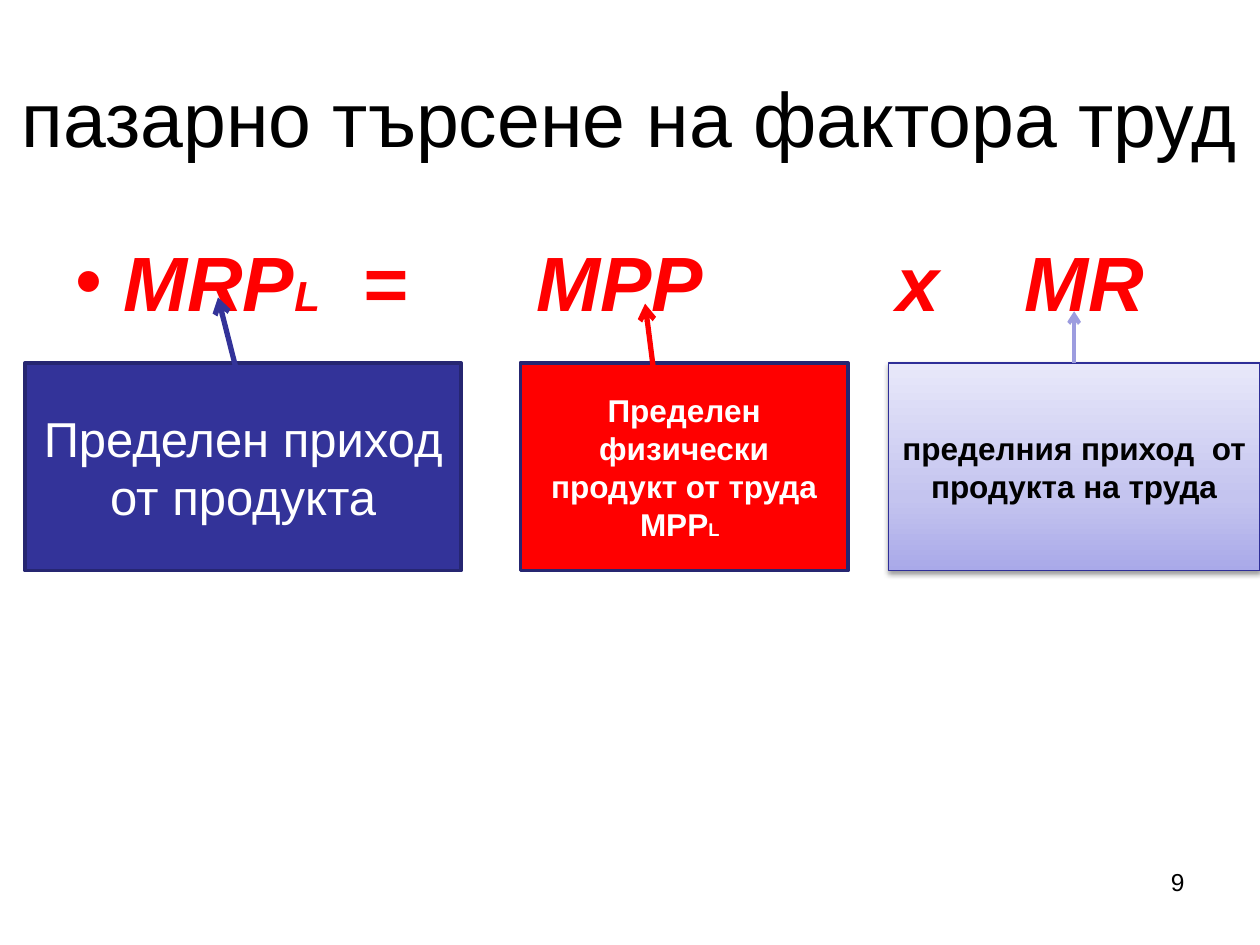
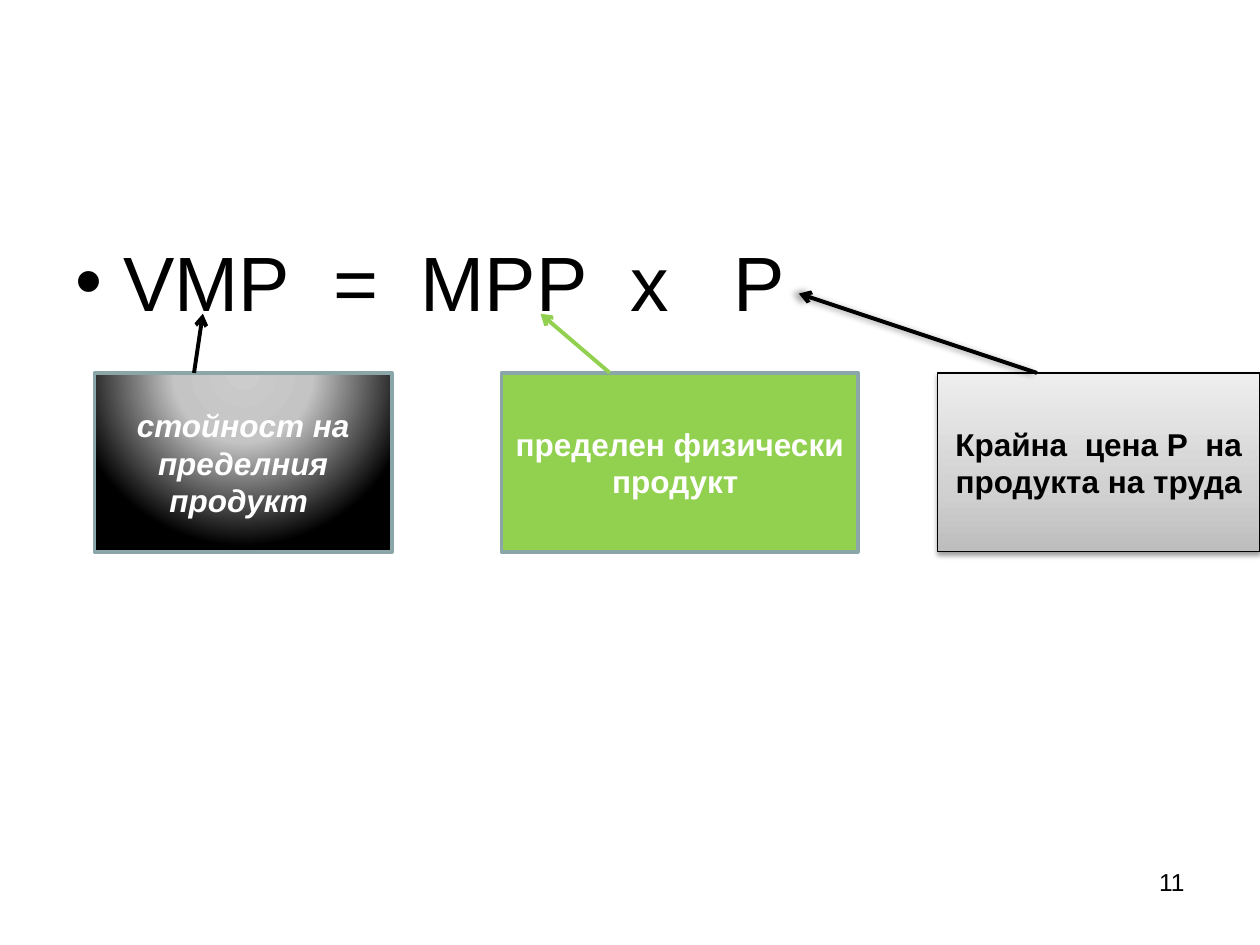
from dataclasses import dataclass
from typing import Optional

from lxml.etree import SubElement
from pptx import Presentation
from pptx.dml.color import RGBColor
from pptx.enum.shapes import MSO_CONNECTOR, MSO_SHAPE
from pptx.enum.text import MSO_ANCHOR, PP_ALIGN
from pptx.oxml.ns import qn
from pptx.util import Emu, Inches, Pt

WIDTH, HEIGHT = Inches(10), Inches(7.5)
COLUMNS, ROWS = 100, 75
FONT = "Arial"
BLACK, WHITE, RED, NAVY, GREEN = "000000", "FFFFFF", "FF0000", "333399", "92D050"
SPACE_SHARE = 0.278  # width of a space as a share of the font size
HEADING_SIZE, LABEL_SIZE, NUMBER_SIZE = 44, 18, 14


@dataclass(frozen=True)
class Span:
    text: str
    size: Optional[float] = None
    spaces: int = 1


@dataclass(frozen=True)
class Style:
    size: float
    color: str
    bold: bool = False
    italic: bool = False


@dataclass(frozen=True)
class Gradient:
    stops: tuple
    radial: bool = False


@dataclass(frozen=True)
class Shadow:
    opacity: int
    blur: float
    distance: float
    angle: int


@dataclass(frozen=True)
class Arrow:
    end: tuple
    color: str
    start: Optional[tuple] = None  # None starts at the middle of the card's top
    width: float = 2.25
    shadow: Optional[Shadow] = None


@dataclass(frozen=True)
class Card:
    left: float
    width: float
    fill: object
    border: str
    style: Style
    paras: tuple
    arrow: Arrow
    border_width: float = 2
    shadow: Optional[Shadow] = None


@dataclass(frozen=True)
class Page:
    number: int
    formula: tuple
    formula_style: Style
    card_top: float
    card_height: float
    cards: tuple
    title: str = ""


def gap(spaces: int) -> Span:
    """One space stretched to the width of several."""
    return Span(" ", spaces=spaces)


def column(count: float) -> Emu:
    return Emu(round(WIDTH * count / COLUMNS))


def row(count: float) -> Emu:
    return Emu(round(HEIGHT * count / ROWS))


def rgb(color: str) -> RGBColor:
    return RGBColor.from_string(color)


def add_spans(para, spans: tuple, style: Style) -> None:
    for span in spans:
        run = para.add_run()
        run.text = span.text
        size = span.size or style.size
        font = run.font
        font.name, font.size = FONT, Pt(size)
        font.bold, font.italic = style.bold, style.italic
        font.color.rgb = rgb(style.color)
        if span.spaces > 1:
            extra = (span.spaces - 1) * SPACE_SHARE * size
            font._element.set("spc", str(round(extra * 100)))


def add_text(slide, area: tuple, spans: tuple, style: Style, align=PP_ALIGN.LEFT,
             anchor=MSO_ANCHOR.TOP):
    left, top, width, height = area
    box = slide.shapes.add_textbox(column(left), row(top), column(width), row(height))
    frame = box.text_frame
    frame.word_wrap = True
    frame.vertical_anchor = anchor
    para = frame.paragraphs[0]
    para.alignment = align
    add_spans(para, spans, style)
    return box


def add_formula(slide, spans: tuple, style: Style) -> None:
    box = add_text(slide, (5, 17.5, 90, 49.5), spans, style)
    box.text_frame.margin_top = row(1.1)
    properties = box.text_frame.paragraphs[0]._p.get_or_add_pPr()
    properties.set("marL", str(column(3.8)))
    properties.set("indent", str(-column(3.8)))
    SubElement(properties, qn("a:buFont"), typeface=FONT)
    SubElement(properties, qn("a:buChar"), char="•")


def set_gradient(shape, gradient: Gradient) -> None:
    shape.fill.background()
    empty = shape.element.spPr.find(qn("a:noFill"))
    fill = SubElement(shape.element.spPr, qn("a:gradFill"), rotWithShape="1")
    stops = SubElement(fill, qn("a:gsLst"))
    for position, color in gradient.stops:
        stop = SubElement(stops, qn("a:gs"), pos=str(position * 1000))
        SubElement(stop, qn("a:srgbClr"), val=color)
    if gradient.radial:
        circle = SubElement(fill, qn("a:path"), path="circle")
        SubElement(circle, qn("a:fillToRect"), l="50000", t="-80000", r="50000", b="180000")
    else:
        SubElement(fill, qn("a:lin"), ang=str(270 * 60000), scaled="1")
    shape.element.spPr.replace(empty, fill)


def set_shadow(shape, shadow: Optional[Shadow]) -> None:
    """Replace the theme shadow by the given one or by none; call after the line is set."""
    effects = SubElement(shape.element.spPr, qn("a:effectLst"))
    if shadow:
        outer = SubElement(effects, qn("a:outerShdw"), blurRad=str(Pt(shadow.blur)),
                           dist=str(Pt(shadow.distance)), dir=str(shadow.angle * 60000),
                           rotWithShape="0")
        color = SubElement(outer, qn("a:srgbClr"), val=BLACK)
        SubElement(color, qn("a:alpha"), val=str(shadow.opacity * 1000))


def set_line(shape, color: str, width: float) -> None:
    shape.line.color.rgb = rgb(color)
    shape.line.width = Pt(width)


def add_arrow(slide, arrow: Arrow, card_shape) -> None:
    start, end = arrow.start or arrow.end, arrow.end
    line = slide.shapes.add_connector(MSO_CONNECTOR.STRAIGHT, column(start[0]), row(start[1]),
                                      column(end[0]), row(end[1]))
    if arrow.start is None:
        line.begin_connect(card_shape, 0)
    set_line(line, arrow.color, arrow.width)
    SubElement(line.element.spPr.find(qn("a:ln")), qn("a:tailEnd"), type="arrow")
    set_shadow(line, arrow.shadow)


def add_card(slide, card: Card, top: float, height: float):
    shape = slide.shapes.add_shape(MSO_SHAPE.RECTANGLE, column(card.left), row(top),
                                   column(card.width), row(height))
    if isinstance(card.fill, Gradient):
        set_gradient(shape, card.fill)
    else:
        shape.fill.solid()
        shape.fill.fore_color.rgb = rgb(card.fill)
    set_line(shape, card.border, card.border_width)
    set_shadow(shape, card.shadow)
    frame = shape.text_frame
    frame.word_wrap = True
    frame.vertical_anchor = MSO_ANCHOR.MIDDLE
    for index, spans in enumerate(card.paras):
        para = frame.add_paragraph() if index else frame.paragraphs[0]
        para.alignment = PP_ALIGN.CENTER
        add_spans(para, spans, card.style)
    return shape


def add_page(deck, page: Page) -> None:
    slide = deck.slides.add_slide(deck.slide_layouts[6])
    if page.title:
        add_text(slide, (0, 3, 100, 12.5), (Span(page.title),), Style(HEADING_SIZE, BLACK),
                 PP_ALIGN.CENTER, MSO_ANCHOR.MIDDLE)
    add_formula(slide, page.formula, page.formula_style)
    shapes = [add_card(slide, card, page.card_top, page.card_height) for card in page.cards]
    for card, shape in zip(page.cards, shapes):
        add_arrow(slide, card.arrow, shape)
    add_text(slide, (71.7, 68.3, 23.3, 5.2), (Span(str(page.number)),),
             Style(NUMBER_SIZE, BLACK), PP_ALIGN.RIGHT)


WHITE_LABEL = Style(LABEL_SIZE, WHITE, bold=True)
BLACK_LABEL = Style(LABEL_SIZE, BLACK, bold=True)
CARD_SHADOW = Shadow(38, 3.1, 1.6, 90)
NAVY_BORDER, GREY_BORDER = "262671", "8AA6A8"

PAGES = (
    Page(
        number=9,
        title="пазарно търсене на фактора труд",
        formula=(Span("MRP"), Span("L", 24), gap(2), Span("="), gap(6), Span("MPP"),
                 gap(9), Span("x"), gap(4), Span("MR")),
        formula_style=Style(HEADING_SIZE, RED, bold=True, italic=True),
        card_top=28.8, card_height=16.5,
        cards=(
            Card(2, 34.6, NAVY, NAVY_BORDER, Style(28, WHITE),
                 ((Span("Пределен приход от продукта"),),),
                 Arrow((17.3, 23.6), NAVY, (18.9, 29.9), 3)),
            Card(41.3, 26, RED, NAVY_BORDER, WHITE_LABEL,
                 ((Span("Пределен"),),
                  (Span("физически продукт от труда МРР"), Span("L", 10.5), Span(" "))),
                 Arrow((51.2, 24.1), RED, (52, 30.4), 3)),
            Card(70.5, 29.5, Gradient(((0, "A9A9E9"), (35, "C4C4EF"), (100, "E8E8FA"))),
                 "2F2F98", BLACK_LABEL,
                 ((Span("пределния приход"), gap(2), Span("от продукта на труда")),),
                 Arrow((85.25, 24.7), "9C9CDF"), 0.75, CARD_SHADOW),
        ),
    ),
    Page(
        number=11,
        formula=(Span("VMP"), gap(2), Span("="), gap(2), Span("MPP"), gap(2), Span("x"),
                 gap(3), Span("P")),
        formula_style=Style(HEADING_SIZE, BLACK),
        card_top=29.6, card_height=14.2,
        cards=(
            Card(7.5, 23.6,
                 Gradient(((0, "CCCCCC"), (40, "C4C4C4"), (100, BLACK)), radial=True),
                 GREY_BORDER, Style(LABEL_SIZE, WHITE, bold=True, italic=True),
                 ((Span("стойност на пределния продукт "),),),
                 Arrow((16.1, 24.9), BLACK, (15.4, 29.6))),
            Card(39.8, 28.3, GREEN, GREY_BORDER, WHITE_LABEL,
                 ((Span("пределен физически продукт "),),),
                 Arrow((42.9, 24.9), GREEN, (48.4, 29.6))),
            Card(74.4, 25.6, Gradient(((0, "BDBDBD"), (35, "D1D1D1"), (100, "EEEEEE"))),
                 BLACK, BLACK_LABEL,
                 ((Span("Крайна"), gap(2), Span("цена Р"), gap(2),
                   Span("на продукта на труда")),),
                 Arrow((63.4, 23.3), BLACK, (82.3, 29.6), shadow=Shadow(40, 4, 3, 180)),
                 0.75, CARD_SHADOW),
        ),
    ),
)


def main() -> None:
    deck = Presentation()
    deck.slide_width, deck.slide_height = WIDTH, HEIGHT
    for page in PAGES:
        add_page(deck, page)
    deck.save("out.pptx")


if __name__ == "__main__":
    main()
